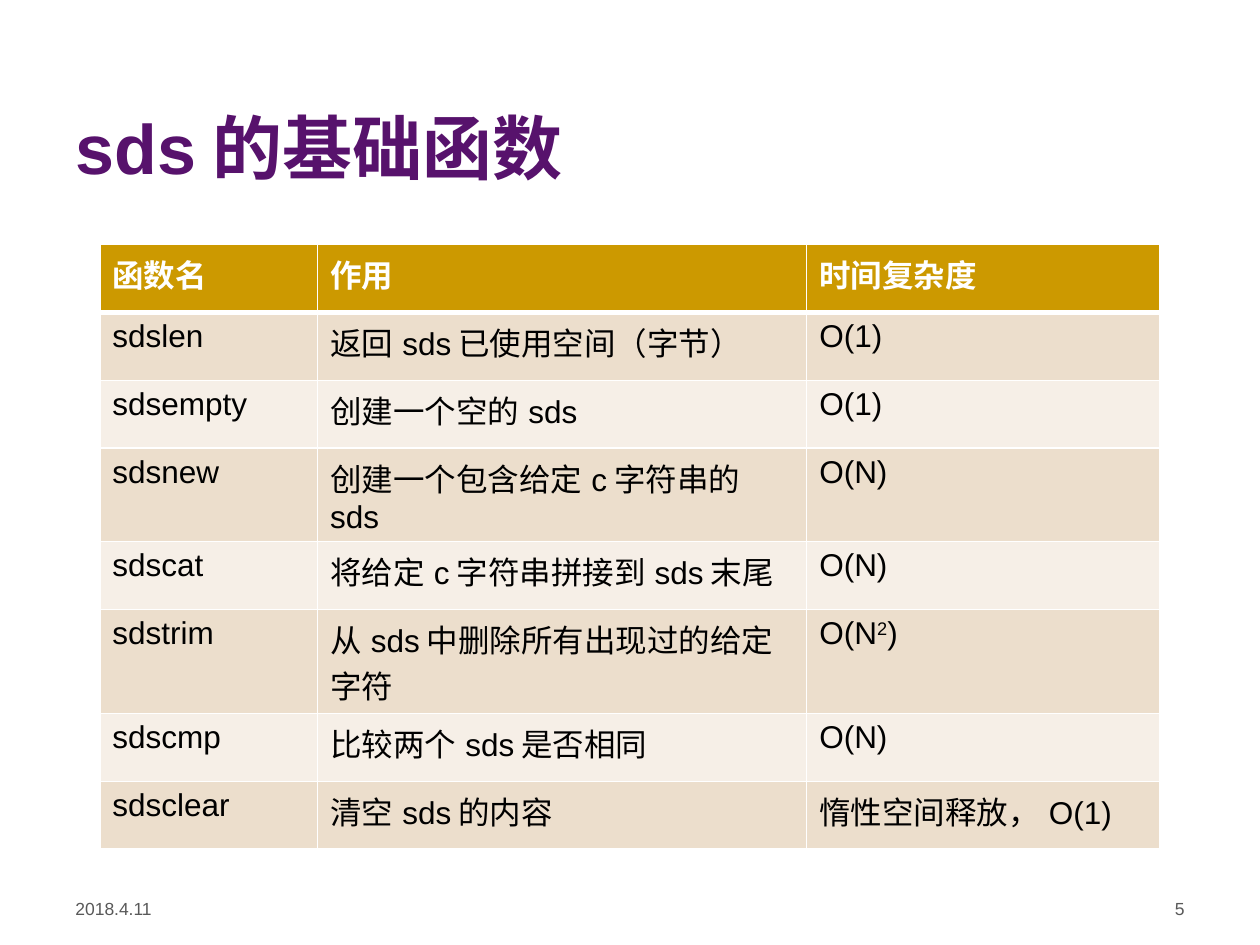
from lxml.etree import SubElement
from pptx import Presentation
from pptx.dml.color import RGBColor
from pptx.enum.text import MSO_ANCHOR, MSO_AUTO_SIZE, PP_ALIGN as Align
from pptx.oxml.ns import qn
from pptx.util import Pt

FONT = "Arial"
PURPLE = RGBColor(0x57, 0x12, 0x6C)
GRAY = RGBColor(0x59, 0x59, 0x59)
GOLD = RGBColor(0xCC, 0x99, 0x00)
WHITE = RGBColor(0xFF, 0xFF, 0xFF)
BLACK = RGBColor(0x00, 0x00, 0x00)
DARK_BAND = RGBColor(0xEC, 0xDE, 0xCC)
LIGHT_BAND = RGBColor(0xF6, 0xEF, 0xE7)

COLUMN_WIDTHS = [124.5, 279.5, 202]
ROW_HEIGHTS = [38.8] * 5 + [46.8] + [38.8] * 2
# A caret marks the start of a one-character exponent.
FUNCTIONS = [
    ("函数名", "作用", "时间复杂度"),
    ("sdslen", "返回sds已使用空间（字节）", "O(1)"),
    ("sdsempty", "创建一个空的sds", "O(1)"),
    ("sdsnew", "创建一个包含给定c字符串的sds", "O(N)"),
    ("sdscat", "将给定c字符串拼接到sds末尾", "O(N)"),
    ("sdstrim", "从sds中删除所有出现过的给定字符", "O(N^2)"),
    ("sdscmp", "比较两个sds是否相同", "O(N)"),
    ("sdsclear", "清空sds的内容", "惰性空间释放，O(1)"),
]


def format_runs(paragraph, size, color, bold=False):
    for run in paragraph.runs:
        run.font.name = FONT
        run.font.size = Pt(size)
        run.font.bold = bold
        run.font.color.rgb = color


def place_title(slide, left, top, width, height):
    title = slide.shapes.title
    title.left, title.top = Pt(left), Pt(top)
    title.width, title.height = Pt(width), Pt(height)
    frame = title.text_frame
    frame.text = "sds的基础函数"
    frame.auto_size = MSO_AUTO_SIZE.NONE
    frame.vertical_anchor = MSO_ANCHOR.BOTTOM
    frame.paragraphs[0].alignment = Align.LEFT
    format_runs(frame.paragraphs[0], 40, PURPLE, bold=True)


def add_footer(slide, left, top, width, height):
    """Put the date at the left end of the box and the page number at the right."""
    part_width = 168
    parts = [
        ("2018.4.11", left, Align.LEFT),
        ("5", left + width - part_width, Align.RIGHT),
    ]
    for text, part_left, alignment in parts:
        box = slide.shapes.add_textbox(
            Pt(part_left), Pt(top), Pt(part_width), Pt(height))
        frame = box.text_frame
        frame.word_wrap = True
        frame.text = text
        frame.paragraphs[0].alignment = alignment
        format_runs(frame.paragraphs[0], 10, GRAY)


def set_borders(cell, top, bottom):
    """Draw white borders; top and bottom are widths in points."""
    properties = cell._tc.get_or_add_tcPr()
    for side, width in (("L", 1), ("R", 1), ("T", top), ("B", bottom)):
        line = SubElement(properties, qn(f"a:ln{side}"), w=str(Pt(width)))
        fill = SubElement(line, qn("a:solidFill"))
        SubElement(fill, qn("a:srgbClr"), val=str(WHITE))


def write_cell_text(paragraph, text):
    base, caret, rest = text.partition("^")
    paragraph.text = base
    if caret:
        exponent = paragraph.add_run()
        exponent.text = rest[0]
        exponent.font._element.set("baseline", "30000")
        paragraph.add_run().text = rest[1:]


def add_function_table(slide, left, top):
    table = slide.shapes.add_table(
        len(FUNCTIONS), len(COLUMN_WIDTHS), Pt(left), Pt(top),
        Pt(sum(COLUMN_WIDTHS)), Pt(sum(ROW_HEIGHTS))).table
    for column, width in zip(table.columns, COLUMN_WIDTHS):
        column.width = Pt(width)
    for row, height in zip(table.rows, ROW_HEIGHTS):
        row.height = Pt(height)

    for row_index, texts in enumerate(FUNCTIONS):
        header = row_index == 0
        band = DARK_BAND if row_index % 2 else LIGHT_BAND
        for column_index, text in enumerate(texts):
            cell = table.cell(row_index, column_index)
            set_borders(cell, top=3 if row_index == 1 else 1,
                        bottom=3 if header else 1)
            cell.fill.solid()
            cell.fill.fore_color.rgb = GOLD if header else band
            paragraph = cell.text_frame.paragraphs[0]
            write_cell_text(paragraph, text)
            format_runs(paragraph, 18, WHITE if header else BLACK, bold=header)


def main():
    presentation = Presentation()
    presentation.slide_width, presentation.slide_height = Pt(720), Pt(540)
    slide = presentation.slides.add_slide(presentation.slide_layouts[5])
    place_title(slide, 36, 9.4, 594, 102.2)
    add_function_table(slide, 57, 139.8)
    add_footer(slide, 36, 509.8, 648, 28)
    presentation.save("out.pptx")


if __name__ == "__main__":
    main()
